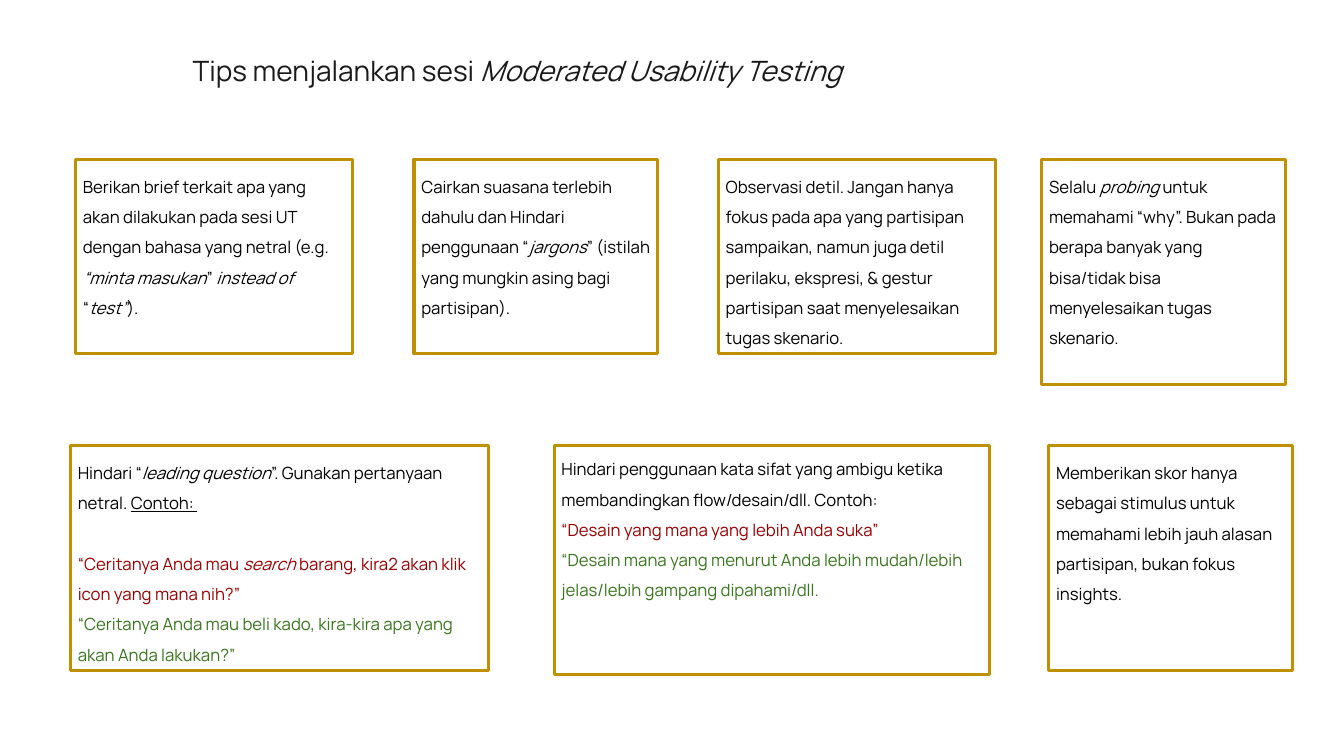
import pptx
import pptx.util
import pptx.dml.color
import pptx.enum.shapes
import pptx.enum.text

Pt = pptx.util.Pt

COLORS = {"title": "1A1A1A", "text": "000000", "avoid": "980000",
          "prefer": "38761D", "border": "BF9000"}
FONT = "Manrope"

# Content: a run is (text, style), with style "" / "i" italic / "u" underlined
TITLE = [("Tips menjalankan sesi ", ""), ("Moderated Usability Testing", "i")]

# A paragraph is (colour, space before, runs)
BRIEF = [("text", 0, [
    ("Berikan brief terkait apa yang akan dilakukan pada sesi UT dengan bahasa yang netral (e.g. ", ""),
    ("“minta masukan", "i"), ("” ", ""), ("instead of", "i"), (" “", ""),
    ("test”", "i"), (").", "")])]
ICEBREAK = [("text", 0, [
    ("Cairkan suasana terlebih dahulu dan Hindari penggunaan “", ""),
    ("jargons", "i"), ("” (istilah yang mungkin asing bagi partisipan).", "")])]
OBSERVE = [("text", 0, [
    ("Observasi detil. Jangan hanya fokus pada apa yang partisipan sampaikan, namun juga detil "
     "perilaku, ekspresi, & gestur partisipan saat menyelesaikan tugas skenario.", "")])]
PROBING = [("text", 0, [
    ("Selalu ", ""), ("probing", "i"),
    (" untuk memahami “why”. Bukan pada berapa banyak yang bisa/tidak bisa "
     "menyelesaikan tugas skenario.", "")])]
LEADING = [
    ("text", 0, [("Hindari “", ""), ("leading question", "i"),
                 ("”. Gunakan pertanyaan netral. ", ""), ("Contoh: ", "u")]),
    ("avoid", 21.6, [("“Ceritanya Anda mau ", ""), ("search", "i"),
                     (" barang, kira2 akan klik icon yang mana nih?”", "")]),
    ("prefer", 0, [("“Ceritanya Anda mau beli kado, kira-kira apa yang akan Anda lakukan?”", "")]),
]
AMBIGUOUS = [
    ("text", 0, [("Hindari penggunaan kata sifat yang ambigu ketika membandingkan "
                  "flow/desain/dll. Contoh:", "")]),
    ("avoid", 0, [("“Desain yang mana yang lebih Anda suka”", "")]),
    ("prefer", 0, [("“Desain mana yang menurut Anda lebih mudah/lebih jelas/lebih gampang "
                    "dipahami/dll.", "")]),
]
SCORE = [("text", 0, [
    ("Memberikan skor hanya sebagai stimulus untuk memahami lebih jauh alasan partisipan, "
     "bukan fokus insights.", "")])]

# Rows of tips: (top, [(left, width, height, vertical inset, paragraphs)])
TIP_ROWS = [
    (113.8, [(54, 198, 139, 5.2, BRIEF), (295.9, 174.3, 139, 5.2, ICEBREAK),
             (513.4, 198, 139, 5.2, OBSERVE), (744.5, 174.3, 160.6, 5.2, PROBING)]),
    (318.3, [(50.4, 298.8, 160.6, 5.2, LEADING), (396, 311, 163.4, 2.5, AMBIGUOUS),
             (749.5, 174.3, 160.6, 5.2, SCORE)]),
]


def rgb(name):
    return pptx.dml.color.RGBColor.from_string(COLORS[name])


def set_frame(frame, side, vertical):
    frame.word_wrap = True
    frame.vertical_anchor = pptx.enum.text.MSO_ANCHOR.TOP
    frame.margin_left = frame.margin_right = Pt(side)
    frame.margin_top = frame.margin_bottom = Pt(vertical)


def add_runs(paragraph, runs, size, color):
    for text, style in runs:
        run = paragraph.add_run()
        run.text = text
        run.font.name = FONT
        run.font.size = Pt(size)
        run.font.color.rgb = rgb(color)
        if style == "i":
            run.font.italic = True
        elif style == "u":
            run.font.underline = True


def add_tip(slide, left, top, width, height, inset, paragraphs):
    tip = slide.shapes.add_shape(pptx.enum.shapes.MSO_SHAPE.RECTANGLE,
                                 Pt(left), Pt(top), Pt(width), Pt(height))
    tip.shadow.inherit = False
    tip.fill.background()
    tip.line.color.rgb = rgb("border")
    tip.line.width = Pt(2.25)
    frame = tip.text_frame
    set_frame(frame, 5.2, inset)
    for index, (color, space_before, runs) in enumerate(paragraphs):
        paragraph = frame.add_paragraph() if index else frame.paragraphs[0]
        paragraph.alignment = pptx.enum.text.PP_ALIGN.LEFT
        paragraph.line_spacing = 1.5
        if space_before:
            paragraph.space_before = Pt(space_before)
        add_runs(paragraph, runs, 12, color)


def main():
    deck = pptx.Presentation()
    deck.slide_width, deck.slide_height = Pt(960.5), Pt(540)
    slide = deck.slides.add_slide(deck.slide_layouts[6])

    # Heading
    heading = slide.shapes.add_textbox(Pt(82.8), Pt(29.5), Pt(573.8), Pt(37.4)).text_frame
    set_frame(heading, 5.2, 5.2)
    heading.paragraphs[0].alignment = pptx.enum.text.PP_ALIGN.CENTER
    heading.paragraphs[0].line_spacing = 1.15
    add_runs(heading.paragraphs[0], TITLE, 20, "title")

    # Tip boxes
    for top, tips in TIP_ROWS:
        for left, width, height, inset, paragraphs in tips:
            add_tip(slide, left, top, width, height, inset, paragraphs)

    deck.save("out.pptx")


if __name__ == "__main__":
    main()
